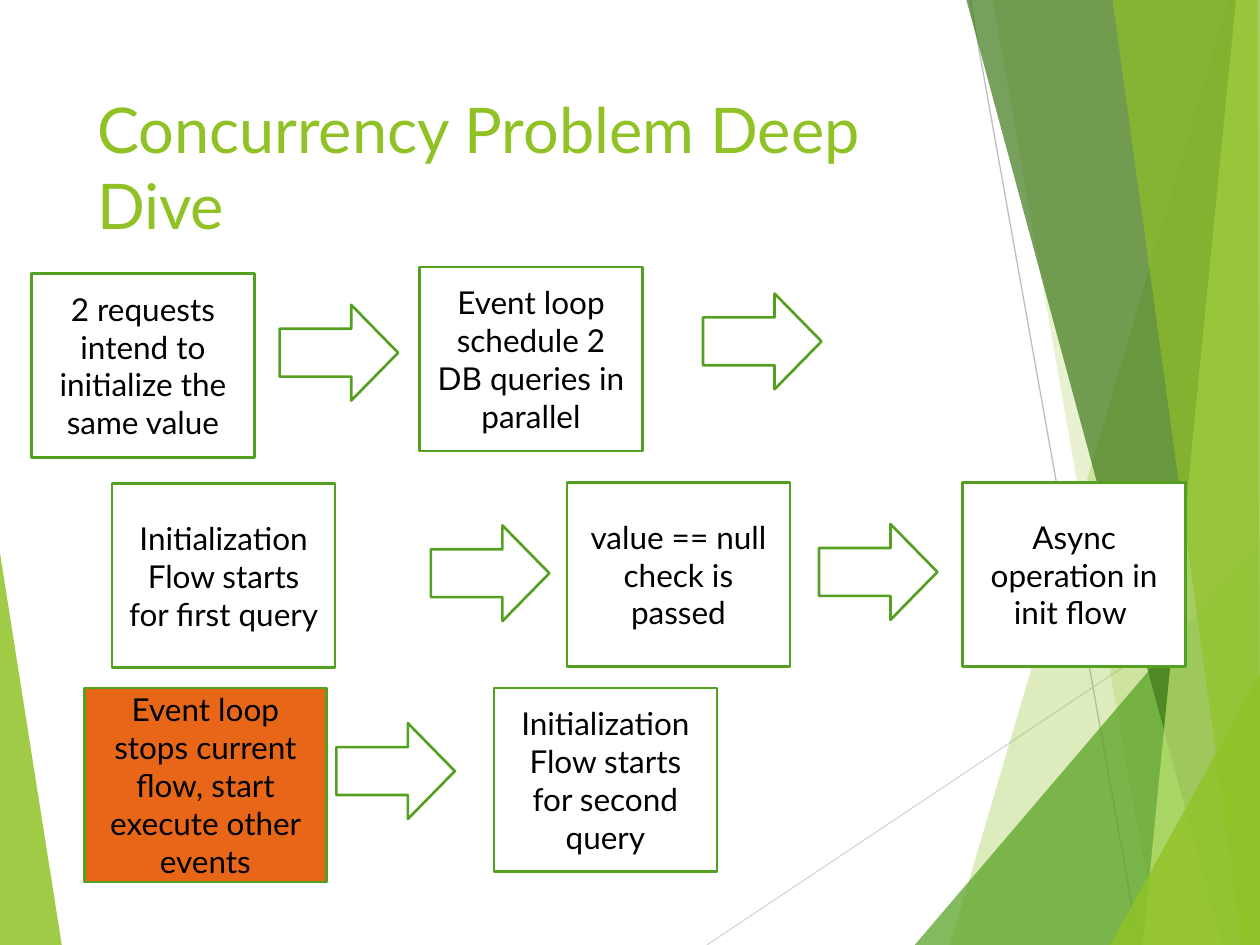
"""Builds the slide on the concurrency problem as a flow of boxes and arrows."""
import lxml.etree
import pptx
import pptx.dml.color
import pptx.enum.shapes
import pptx.enum.text
import pptx.oxml.ns
import pptx.util

Inches, Pt = pptx.util.Inches, pptx.util.Pt
RGB = pptx.dml.color.RGBColor.from_string
SHAPE = pptx.enum.shapes.MSO_SHAPE
ANCHOR = pptx.enum.text.MSO_ANCHOR
ALIGN = pptx.enum.text.PP_ALIGN
qn = pptx.oxml.ns.qn

THEME = {
    "font": "Lato", "title_size": 36, "box_size": 18, "outline": 1.5, "hairline": 0.75,
    "lime": "90C226", "green": "54A021", "forest": "3F7819", "pale": "C0E474",
    "orange": "E76618", "white": "FFFFFF", "black": "000000",
    "light_grey": "D9D9D9", "grey": "BFBFBF",
}


def write(tf, text, size, color, align, anchor):
    frame_format = {"word_wrap": True, "auto_size": pptx.enum.text.MSO_AUTO_SIZE.NONE,
                    "vertical_anchor": anchor}
    for name, value in frame_format.items():
        setattr(tf, name, value)
    p = tf.paragraphs[0]
    p.alignment = align
    r = p.add_run()
    r.text = text
    for name, value in {"name": THEME["font"], "size": Pt(THEME[size])}.items():
        setattr(r.font, name, value)
    r.font.color.rgb = RGB(THEME[color])


def paint(sp, fill, line=None):
    sp.shadow.inherit = False
    sp.fill.solid()
    sp.fill.fore_color.rgb = RGB(THEME[fill])
    if line:
        sp.line.color.rgb = RGB(THEME[line])
        sp.line.width = Pt(THEME["outline"])
    else:
        sp.line.fill.background()


prs = pptx.Presentation()
for name, value in {"slide_width": Inches(10), "slide_height": Inches(7.5)}.items():
    setattr(prs, name, value)
s = prs.slides.add_slide(prs.slide_layouts[5])

rays = [
    ("light_grey", (5.61, 7.5), (10, 4.57)),
    ("grey", (7.7, 0), (9.04, 7.5)),
]
facets = [
    ("lime", 30, [(9.75, 0), (7.54, 7.5), (10, 7.5), (10, 0)]),
    ("lime", 20, [(7.88, 0), (9.19, 7.5), (10, 7.5), (10, 0)]),
    ("green", 72, [(7.26, 7.5), (10, 4.29), (10, 7.5)]),
    ("forest", 70, [(7.67, 0), (9.7, 7.5), (10, 7.5), (10, 0)]),
    ("pale", 70, [(9.81, 0), (9.07, 7.5), (10, 7.5), (10, 0)]),
    ("lime", 65, [(8.83, 0), (9.86, 7.5), (10, 7.5), (9.98, 0)]),
    ("lime", 80, [(8.81, 7.5), (10, 5.35), (10, 7.5)]),
    ("lime", 85, [(0, 4.39), (0.49, 7.5), (0, 7.5)]),
]

for color, start, end in rays:
    ray = s.shapes.add_connector(pptx.enum.shapes.MSO_CONNECTOR.STRAIGHT,
                                 *(Inches(v) for v in start + end))
    ray.line.color.rgb = RGB(THEME[color])
    ray.line.width = Pt(THEME["hairline"])
    lxml.etree.SubElement(ray.element.spPr, qn("a:effectLst"))

for color, opacity, points in facets:
    corners = [(Inches(x), Inches(y)) for x, y in points]
    outline = s.shapes.build_freeform(*corners[0])
    outline.add_line_segments(corners[1:], close=True)
    sp = outline.convert_to_shape()
    paint(sp, color)
    tint = sp.element.spPr.find(qn("a:solidFill")).find(qn("a:srgbClr"))
    lxml.etree.SubElement(tint, qn("a:alpha"), val=str(opacity * 1000))

title = s.shapes.title
title_box = {"left": 0.67, "top": 0.67, "width": 6.94, "height": 1.44}
for name, value in title_box.items():
    setattr(title, name, Inches(value))
write(title.text_frame, "Concurrency Problem Deep Dive", "title_size", "lime",
      ALIGN.LEFT, ANCHOR.TOP)

box_size = (1.77, 1.46)
wide_size = (1.92, 1.54)
steps = [
    (0.25, 2.17, box_size, "white", "2 requests intend to initialize the same value"),
    (3.33, 2.12, box_size, "white", "Event loop schedule 2 DB queries in parallel"),
    (0.89, 3.84, box_size, "white", "Initialization Flow starts for first query"),
    (4.5, 3.83, box_size, "white", "value == null check is passed"),
    (7.64, 3.83, box_size, "white", "Async operation in init flow "),
    (0.67, 5.46, wide_size, "orange",
     "Event loop stops current flow, start execute other events"),
    (3.92, 5.46, box_size, "white", "Initialization Flow starts for second query"),
]
for left, top, size, fill, text in steps:
    sp = s.shapes.add_shape(SHAPE.RECTANGLE, *(Inches(v) for v in (left, top, *size)))
    paint(sp, fill, "green")
    write(sp.text_frame, text, "box_size", "black", ALIGN.CENTER, ANCHOR.MIDDLE)

arrows = [(2.22, 2.42), (5.58, 2.33), (3.42, 4.17), (6.5, 4.16), (2.67, 5.74)]
for left, top in arrows:
    sp = s.shapes.add_shape(SHAPE.RIGHT_ARROW, *(Inches(v) for v in (left, top, 0.94, 0.76)))
    sp.adjustments[1] = 0.49
    paint(sp, "white", "green")

prs.save("out.pptx")
